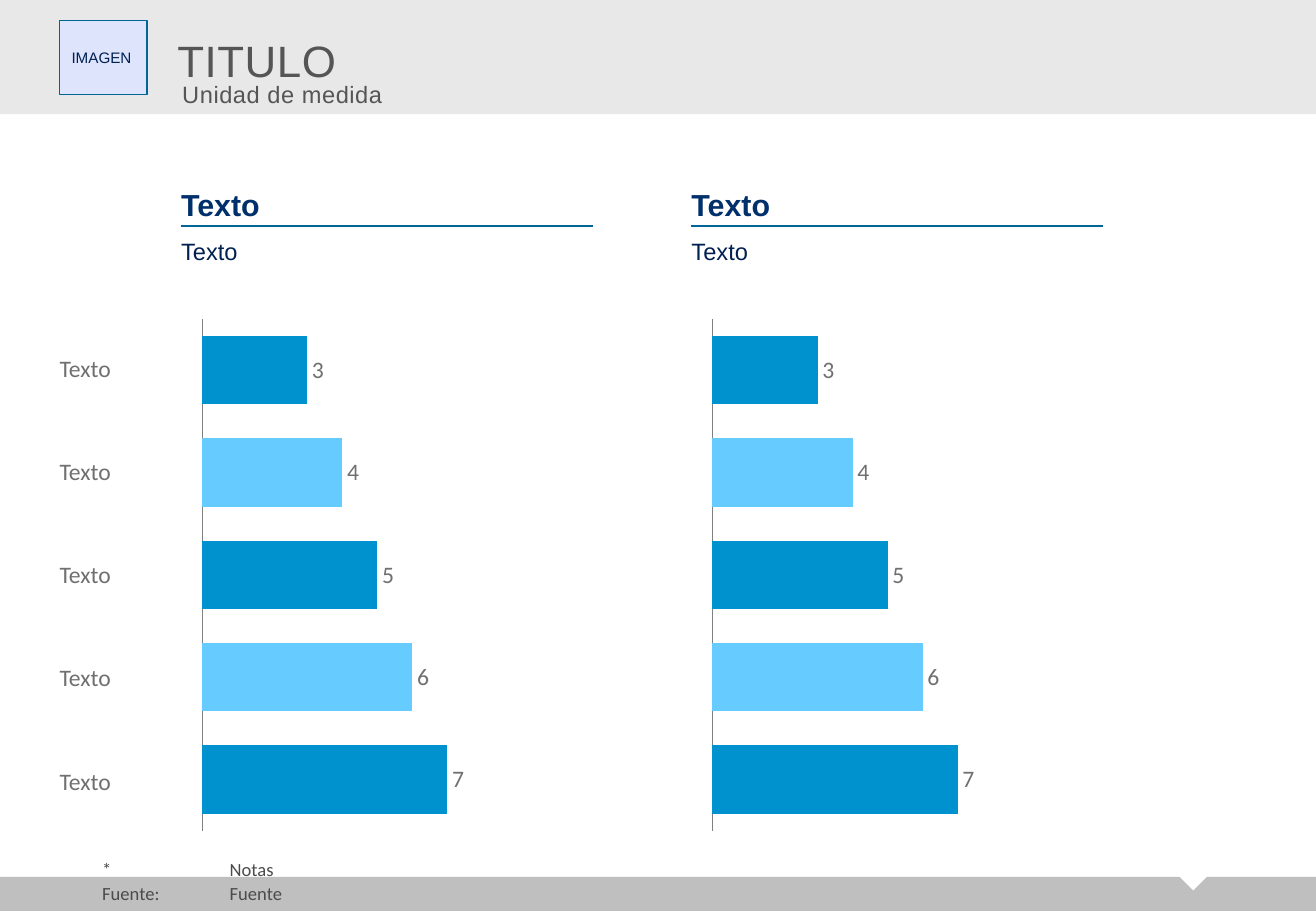
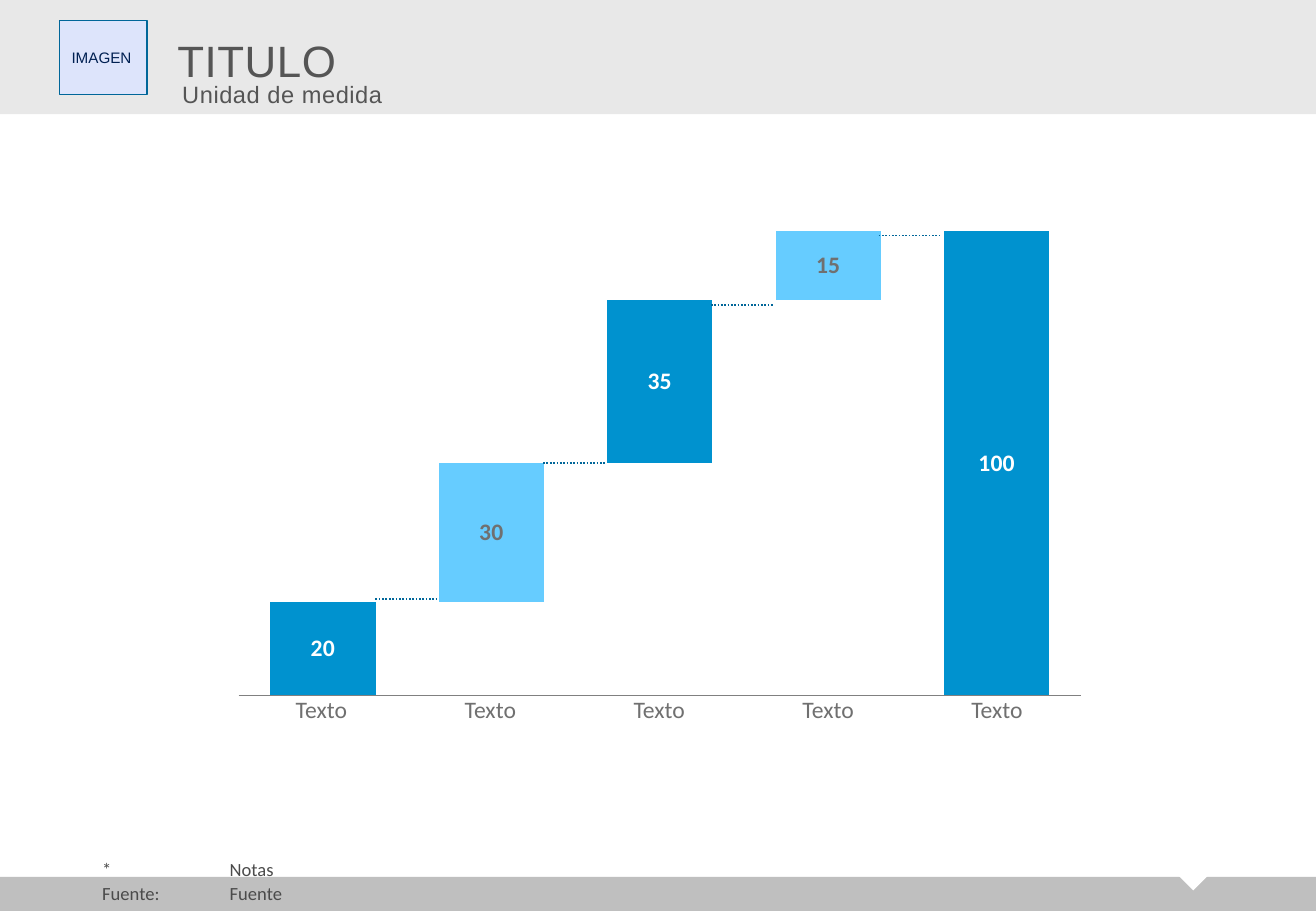
import pptx
import pptx.chart.data
import pptx.dml.color
import pptx.enum.chart
import pptx.enum.dml
import pptx.enum.shapes
import pptx.enum.text
import pptx.oxml
import pptx.oxml.ns
import pptx.util

RGB = pptx.dml.color.RGBColor
WHITE = RGB(0xFF, 0xFF, 0xFF)
BAND = RGB(0xE8, 0xE8, 0xE8)
FOOTER = RGB(0xBF, 0xBF, 0xBF)
TITLE = RGB(0x55, 0x55, 0x55)
NOTE = RGB(0x4B, 0x4B, 0x4B)
GREY = RGB(0x70, 0x70, 0x70)
AXIS = RGB(0x80, 0x80, 0x80)
NAVY = RGB(0x00, 0x20, 0x52)
HEADING = RGB(0x00, 0x30, 0x6B)
RULE = RGB(0x00, 0x66, 0x99)
PALE = RGB(0xDD, 0xE4, 0xFB)
BLUE = RGB(0x00, 0x92, 0xCF)
SKY = RGB(0x66, 0xCC, 0xFF)

Pt = pptx.util.Pt
ALIGN = pptx.enum.text.PP_ALIGN
ANCHOR = pptx.enum.text.MSO_ANCHOR
SHAPE = pptx.enum.shapes.MSO_SHAPE
CHART = pptx.enum.chart.XL_CHART_TYPE
LABEL_POS = pptx.enum.chart.XL_LABEL_POSITION

W, H = 1083, 750
PX = 9144
CATEGORIES = ["1", "2", "3", "4", "5"]


def px(*lengths):
    return [pptx.util.Emu(n * PX) for n in lengths]


def style_font(font, size, color, name="Calibri", bold=False):
    font.size, font.name, font.bold = Pt(size), name, bold
    font.color.rgb = color


def write(sp, text, size, color, name="Calibri", bold=False,
          align=ALIGN.LEFT, anchor=ANCHOR.TOP, insets=(0, 0, 0, 0), spacing=0):
    tf = sp.text_frame
    tf.word_wrap = True
    tf.auto_size = pptx.enum.text.MSO_AUTO_SIZE.NONE
    tf.vertical_anchor = anchor
    tf.margin_left, tf.margin_top, tf.margin_right, tf.margin_bottom = px(*insets)
    tf.text = text
    for p in tf.paragraphs:
        p.alignment = align
        for r in p.runs:
            style_font(r.font, size, color, name, bold)
            if spacing:
                r.font._element.set("spc", str(spacing))
    return tf


def add_text(s, box, *args, **kwargs):
    return write(s.shapes.add_textbox(*px(*box)), *args, **kwargs)


def add_box(s, kind, box, fill, line=None):
    sp = s.shapes.add_shape(kind, *px(*box))
    sp.shadow.inherit = False
    sp.fill.solid()
    sp.fill.fore_color.rgb = fill
    if line is None:
        sp.line.fill.background()
    else:
        sp.line.color.rgb, sp.line.width = line, Pt(0.75)
    return sp


def add_rule(s, x, y, length, width=0.75, dash=None):
    line = s.shapes.add_connector(
        pptx.enum.shapes.MSO_CONNECTOR.STRAIGHT, *px(x, y, x + length, y))
    line.line.color.rgb, line.line.width = RULE, Pt(width)
    if dash is not None:
        line.line.dash_style = dash
    line._element.spPr.append(pptx.oxml.parse_xml(
        "<a:effectLst %s/>" % pptx.oxml.ns.nsdecls("a")))


def add_header(s, box):
    x, y, w, h = box
    title = s.shapes.title
    title.left, title.top, title.width, title.height = px(*box)
    title.fill.solid()
    title.fill.fore_color.rgb = BAND
    write(title, "TITULO", 26, TITLE, "Arial", anchor=ANCHOR.MIDDLE,
          insets=(146, 4, 0, 0), spacing=30)
    add_text(s, (x + 150, y + 66, w - 183, 24), "Unidad de medida", 14, TITLE,
             "Arial", spacing=30)
    image = add_box(s, SHAPE.RECTANGLE, (x + 49, y + 17, 72, 61), PALE, RULE)
    write(image, "IMAGEN", 9, NAVY, "Arial", anchor=ANCHOR.MIDDLE,
          insets=(10, 5, 10, 5))


def add_footer(s, box):
    x, y, w, h = box
    add_box(s, SHAPE.RECTANGLE, box, FOOTER)
    notch = add_box(s, SHAPE.ISOSCELES_TRIANGLE, (x + 970, y - 1, 24, 12), WHITE)
    notch.rotation = 180
    tf = add_text(s, (x + 84, y - 15, w - 125, 38), "*\tNotas\nFuente:\tFuente",
                  11, NOTE, anchor=ANCHOR.BOTTOM)
    for p in tf.paragraphs:
        p.line_spacing, p.space_after = 0.95, Pt(2)
        p._p.get_or_add_pPr().append(pptx.oxml.parse_xml(
            '<a:tabLst %s><a:tab pos="%d" algn="l"/></a:tabLst>'
            % (pptx.oxml.ns.nsdecls("a"), 105 * PX)))


def add_slide(prs):
    s = prs.slides.add_slide(prs.slide_layouts[5])
    add_header(s, (0, 0, W, 94))
    add_footer(s, (0, 722, W, 28))
    return s


def add_plain_chart(s, kind, box, series, plot, maximum, gap):
    data = pptx.chart.data.CategoryChartData()
    data.categories = CATEGORIES
    for i, values in enumerate(series, 1):
        data.add_series(f"Series {i}", values)
    chart = s.shapes.add_chart(kind, *px(*box), data).chart
    chart.has_legend = chart.has_title = False
    style_font(chart.font, 14, NAVY, "Arial")
    cat, val = chart.category_axis, chart.value_axis
    cat.tick_label_position = pptx.enum.chart.XL_TICK_LABEL_POSITION.NONE
    cat.major_tick_mark = pptx.enum.chart.XL_TICK_MARK.NONE
    cat.format.line.color.rgb, cat.format.line.width = AXIS, Pt(0.75)
    val.visible = val.has_major_gridlines = False
    val.minimum_scale, val.maximum_scale = 0, maximum
    bars = chart.plots[0]
    bars.gap_width, bars.vary_by_categories = gap, False
    sizes = "".join('<c:%s val="%s"/>' % pair for pair in zip("xywh", plot))
    layout = pptx.oxml.parse_xml(
        '<c:layout %s><c:manualLayout><c:layoutTarget val="inner"/>'
        '<c:xMode val="edge"/><c:yMode val="edge"/>%s</c:manualLayout></c:layout>'
        % (pptx.oxml.ns.nsdecls("c"), sizes))
    area = chart._chartSpace.chart.plotArea
    for old in area.findall(pptx.oxml.ns.qn("c:layout")):
        area.remove(old)
    area.insert(0, layout)
    return chart


def color_bars(series, position, bold=False):
    series.format.fill.solid()
    series.format.fill.fore_color.rgb = BLUE
    for i in (1, 3):
        fill = series.points[i].format.fill
        fill.solid()
        fill.fore_color.rgb = SKY
    labels = series.data_labels
    labels.show_value, labels.position = True, position
    style_font(labels.font, 14, GREY, bold=bold)


def add_bar_panel(s, box):
    x, y, w, h = box
    add_rule(s, x, y + 28, w)
    add_text(s, (x, y, w, 25), "Texto", 18, HEADING, "Arial", True,
             anchor=ANCHOR.BOTTOM)
    add_text(s, (x, y + 37, w, 24), "Texto", 14, NAVY, "Arial")
    chart = add_plain_chart(s, CHART.BAR_CLUSTERED, (x + 11, y + 74, 316, h - 74),
                            [(3, 4, 5, 6, 7)], (0.02, 0.06, 0.73, 0.83), 8, 50)
    chart.category_axis.reverse_order = True
    color_bars(chart.plots[0].series[0], LABEL_POS.OUTSIDE_END)


def add_row_labels(s, box):
    x, y, w, h = box
    for i in range(len(CATEGORIES)):
        add_text(s, (x, y + 85 * i, w, h), "Texto", 14, GREY)


def add_waterfall(s, box):
    x, y, w, h = box
    chart = add_plain_chart(
        s, CHART.COLUMN_STACKED, box,
        [(None, 20, 50, 85, None), (20, 30, 35, 15, 100)],
        (0.02, 0.02, 0.96, 0.96), 120, 60)
    chart.plots[0].overlap = 100
    base, steps = chart.plots[0].series
    base.format.fill.background()
    color_bars(steps, LABEL_POS.CENTER, True)
    for i in (0, 2, 4):
        label = steps.points[i].data_label
        style_font(label.font, 14, WHITE, bold=True)
        label.position = LABEL_POS.CENTER
    for i, level in enumerate((389, 277, 147, 90)):
        add_rule(s, x + 127 + 138 * i, y + level, 52, 1,
                 pptx.enum.dml.MSO_LINE.ROUND_DOT)
    for i in range(len(CATEGORIES)):
        add_text(s, (x + 28 + 139 * i, y + 468, 109, 24), "Texto", 14, GREY,
                 align=ALIGN.CENTER)


def main():
    prs = pptx.Presentation()
    prs.slide_width, prs.slide_height = px(W, H)
    s = add_slide(prs)
    add_row_labels(s, (49, 291, 100, 24))
    for x in (149, 569):
        add_bar_panel(s, (x, 158, 339, 582))
    add_waterfall(add_slide(prs), (182, 104, 722, 478))
    prs.save("out.pptx")


if __name__ == "__main__":
    main()
